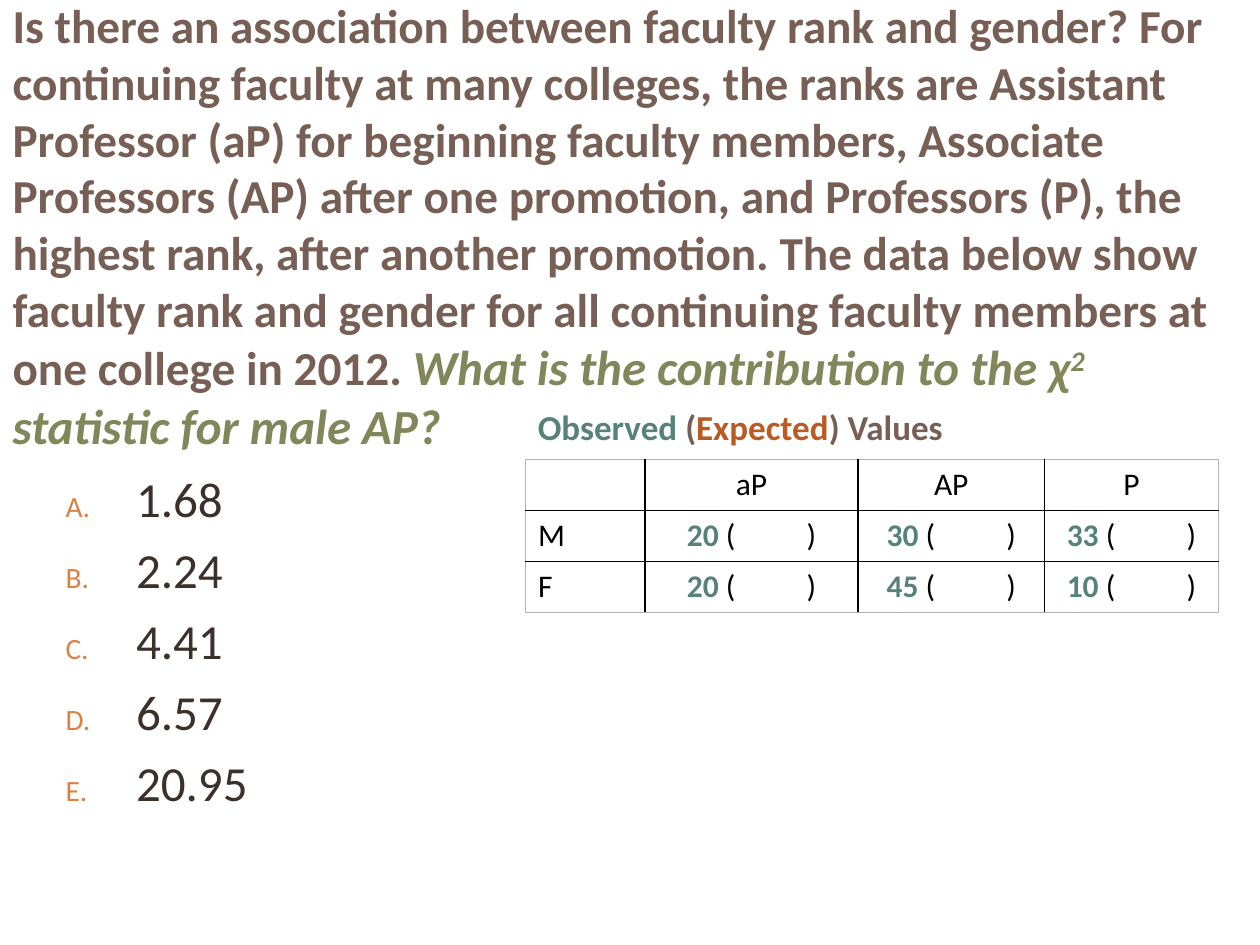
from lxml.etree import SubElement
from pptx import Presentation
from pptx.dml.color import RGBColor
from pptx.enum.text import MSO_ANCHOR as Anchor, MSO_AUTO_SIZE as AutoSize, PP_ALIGN as Align
from pptx.oxml.ns import qn
from pptx.util import Inches, Pt

WIDTH, HEIGHT = Inches(10), Inches(7.5)
FONT = "Calibri"
COLORS = {
    "title": "775F55", "question": "81875A", "answer": "3C302A", "letter": "DD8047",
    "observed": "578279", "expected": "B95B22", "cell": "000000",
    "grid": "000000", "frame": "B2B2B2",
}
QUESTION = (
    "Is there an association between faculty rank and gender? For continuing faculty at many "
    "colleges, the ranks are Assistant Professor (aP) for beginning faculty members, Associate "
    "Professors (AP) after one promotion, and Professors (P), the highest rank, after another "
    "promotion. The data below show faculty rank and gender for all continuing faculty members "
    "at one college in 2012. "
)
ANSWERS = ["1.68", "2.24", "4.41", "6.57", "20.95"]
RANKS = ["aP", "AP", "P"]
OBSERVED = {"M": [20, 30, 33], "F": [20, 45, 10]}
COLUMN_SHARES = [0.095, 0.169, 0.148, 0.138]
ROW_SHARE = 0.054


def place(shape, left, top, width, height):
    """Position a shape by shares of the slide's size."""
    shape.left, shape.width = int(WIDTH * left), int(WIDTH * width)
    shape.top, shape.height = int(HEIGHT * top), int(HEIGHT * height)


def add_text(paragraph, text, size=18, color="cell", bold=False, italic=False,
             baseline=0, spacing=0):
    """Add a run; baseline is a percentage, spacing is extra points per letter."""
    run = paragraph.add_run()
    run.text = text
    font = run.font
    font.name, font.size, font.bold, font.italic = FONT, Pt(size), bold, italic
    font.color.rgb = RGBColor.from_string(COLORS[color])
    properties = run._r.get_or_add_rPr()
    if baseline:
        properties.set("baseline", str(baseline * 1000))
    if spacing:
        properties.set("spc", str(int(spacing * 100)))


def add_letter_bullet(paragraph):
    properties = paragraph._p.get_or_add_pPr()
    properties.set("marL", str(Inches(0.56)))
    properties.set("indent", str(-Inches(0.56)))
    color = SubElement(properties, qn("a:buClr"))
    SubElement(color, qn("a:srgbClr"), val=COLORS["letter"])
    SubElement(properties, qn("a:buSzPct"), val="60000")
    SubElement(properties, qn("a:buFont"), typeface=FONT)
    SubElement(properties, qn("a:buAutoNum"), type="alphaUcPeriod")


def fill_title(title):
    place(title, 0, 0, 1, 0.477)
    frame = title.text_frame
    frame.auto_size, frame.vertical_anchor = AutoSize.NONE, Anchor.MIDDLE
    paragraph = frame.paragraphs[0]
    paragraph.alignment = Align.LEFT
    add_text(paragraph, QUESTION, size=27, color="title", bold=True)
    emphasis = dict(size=28, color="question", bold=True, italic=True)
    add_text(paragraph, "What is the contribution to the χ", **emphasis)
    add_text(paragraph, "2", baseline=30, **emphasis)
    add_text(paragraph, " statistic for male AP?", **emphasis)


def fill_answers(body):
    place(body, 0.042, 0.489, 0.333, 0.367)
    frame = body.text_frame
    frame.auto_size = AutoSize.NONE
    for index, answer in enumerate(ANSWERS):
        paragraph = frame.add_paragraph() if index else frame.paragraphs[0]
        paragraph.space_before = Pt(7 if index else 0)
        add_letter_bullet(paragraph)
        add_text(paragraph, answer, size=28, color="answer")


def add_caption(slide):
    caption = slide.shapes.add_textbox(0, 0, 0, 0)
    place(caption, 0.417, 0.423, 0.383, 0.058)
    caption.text_frame.word_wrap = True
    paragraph = caption.text_frame.paragraphs[0]
    for text, color in [("Observed ", "observed"), ("(", "title"),
                        ("Expected", "expected"), (") Values", "title")]:
        add_text(paragraph, text, size=20, color=color, bold=True)


def set_borders(cell, outer_sides):
    """Draw all four sides, with the frame colour on the outer ones."""
    properties = cell._tc.get_or_add_tcPr()
    for position, side in enumerate("LRTB"):
        line = SubElement(properties, qn(f"a:ln{side}"), w=str(Pt(1)))
        color = COLORS["frame" if side in outer_sides else "grid"]
        SubElement(SubElement(line, qn("a:solidFill")), qn("a:srgbClr"), val=color)
    cell.fill.background()


def fill_cell(cell, value):
    paragraph = cell.text_frame.paragraphs[0]
    if isinstance(value, int):
        add_text(paragraph, f"{value} ", color="observed", bold=True)
        add_text(paragraph, "(")
        add_text(paragraph, " ", spacing=36.6)
        add_text(paragraph, ")")
    elif value:
        add_text(paragraph, value)


def add_counts_table(slide):
    rows = [["", *RANKS]] + [[gender, *counts] for gender, counts in OBSERVED.items()]
    last_row, last_column = len(rows) - 1, len(RANKS)
    frame = slide.shapes.add_table(
        len(rows), len(COLUMN_SHARES), int(WIDTH * 0.417), int(HEIGHT * 0.486),
        int(WIDTH * sum(COLUMN_SHARES)), int(HEIGHT * ROW_SHARE * len(rows)))
    table = frame.table
    table.first_row = table.horz_banding = False
    for column, share in zip(table.columns, COLUMN_SHARES):
        column.width = int(WIDTH * share)
    for r, values in enumerate(rows):
        table.rows[r].height = int(HEIGHT * ROW_SHARE)
        for c, value in enumerate(values):
            cell = table.cell(r, c)
            outer = {"L": c == 0, "R": c == last_column, "T": r == 0, "B": r == last_row}
            set_borders(cell, [side for side, is_outer in outer.items() if is_outer])
            cell.text_frame.paragraphs[0].alignment = Align.CENTER if c else Align.LEFT
            fill_cell(cell, value)


def main():
    presentation = Presentation()
    presentation.slide_width, presentation.slide_height = WIDTH, HEIGHT
    slide = presentation.slides.add_slide(presentation.slide_layouts[1])
    fill_title(slide.shapes.title)
    fill_answers(slide.placeholders[1])
    add_counts_table(slide)
    add_caption(slide)
    presentation.save("out.pptx")


if __name__ == "__main__":
    main()
